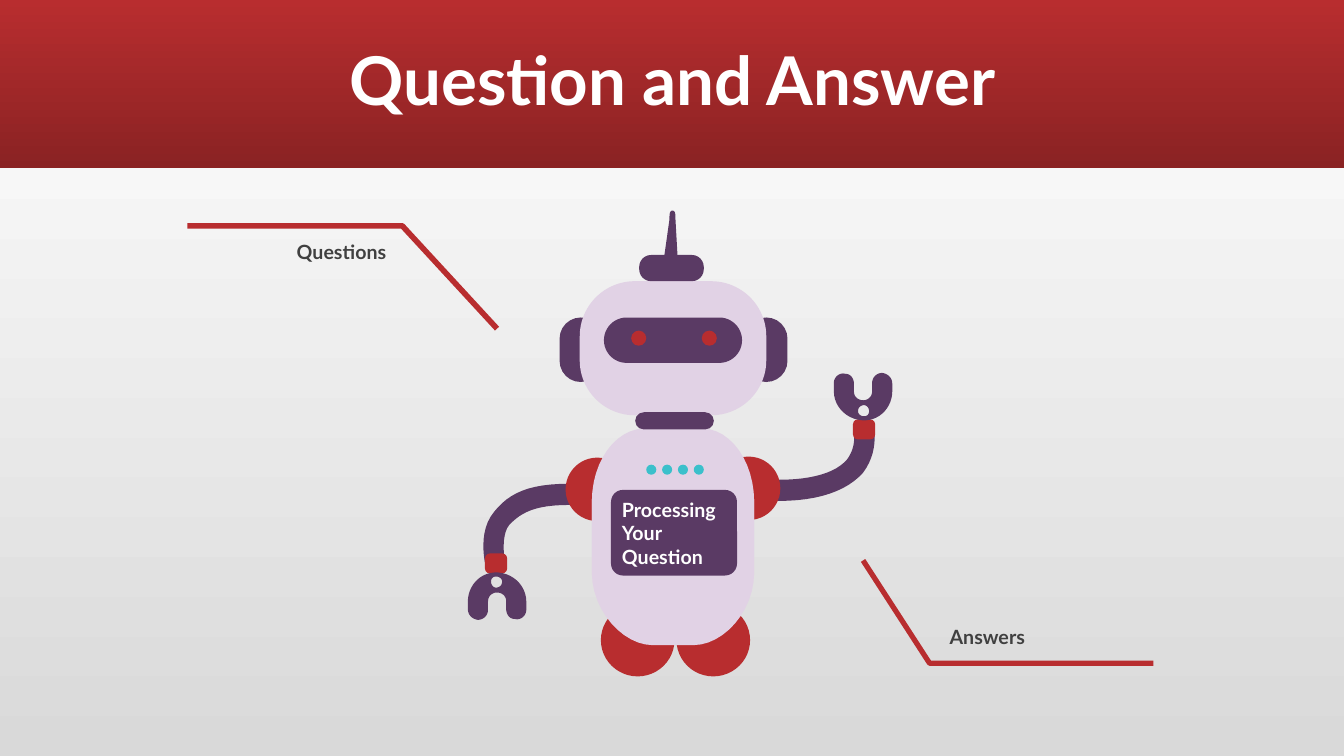
from pptx import Presentation
from pptx.dml.color import RGBColor
from pptx.enum.shapes import MSO_SHAPE
from pptx.enum.text import MSO_ANCHOR, MSO_AUTO_SIZE, PP_ALIGN
from pptx.util import Inches, Pt

RECT, ROUNDED, OVAL = MSO_SHAPE.RECTANGLE, MSO_SHAPE.ROUNDED_RECTANGLE, MSO_SHAPE.OVAL
MIDDLE, GROW = MSO_ANCHOR.MIDDLE, MSO_AUTO_SIZE.SHAPE_TO_FIT_TEXT
LEFT, CENTER, RIGHT = PP_ALIGN.LEFT, PP_ALIGN.CENTER, PP_ALIGN.RIGHT

RED = RGBColor(0xB8, 0x2D, 0x2F)
DARK_RED = RGBColor(0x8A, 0x22, 0x23)
PURPLE = RGBColor(0x5A, 0x3A, 0x64)
LILAC = RGBColor(0xE1, 0xD2, 0xE5)
TEAL = RGBColor(0x3B, 0xC0, 0xCB)
INK = RGBColor(0x40, 0x40, 0x40)
SILVER = RGBColor(0xD9, 0xD9, 0xD9)
WHITE = RGBColor(0xFF, 0xFF, 0xFF)

COLUMNS, ROWS = 1333, 750
CURVE_STEPS = 12

# Outlines hold contours: a start point, then lines (x, y) and curves (x1, y1, x2, y2, x, y).
LEFT_ARM = [[(564, 480), (525, 480, 505, 489, 490, 508), (474, 527, 481, 557, 481, 558),
             (501, 557), (501, 560), (501, 559, 496, 532, 505, 521),
             (517, 508, 532, 501, 564, 501), (570, 501, 574, 496, 574, 490),
             (575, 484, 570, 480, 564, 480)]]
RIGHT_ARM = [[(772, 497), (812, 497, 840, 487, 856, 469), (871, 449, 867, 428, 867, 427),
              (847, 431), (847, 432, 849, 444, 840, 456), (829, 469, 805, 476, 773, 476),
              (767, 476, 762, 481, 762, 486), (762, 492, 766, 497, 772, 497)]]
LEFT_HAND = [[(522, 605), (522, 597), (522, 580, 507, 567, 490, 568),
              (475, 569, 464, 582, 464, 597), (464, 604), (464, 610, 468, 614, 474, 615),
              (479, 615, 484, 611, 484, 605), (484, 597), (484, 592, 487, 589, 491, 588),
              (497, 587, 502, 591, 502, 596), (502, 604), (502, 609, 505, 614, 510, 614),
              (516, 616, 522, 611, 522, 605)],
             [(498, 577), (498, 581, 495, 583, 492, 583), (489, 583, 487, 580, 487, 577),
              (487, 574, 489, 572, 492, 572), (495, 572, 498, 574, 498, 577)]]
CHEST = [[(697, 425), (639, 425), (610, 426, 587, 458, 587, 498), (587, 571),
          (748, 571), (748, 498), (748, 458, 725, 426, 697, 425)]]
BELLY = [[(688, 640), (647, 640), (619, 640, 587, 607, 587, 568), (587, 495),
          (748, 495), (748, 568), (748, 607, 717, 640, 688, 640)]]
ANTENNA = [[(664, 218), (659, 253), (659, 258, 662, 262, 665, 262),
            (669, 262, 672, 259, 672, 254), (670, 218), (670, 213, 670, 209, 667, 209),
            (664, 209, 664, 213, 664, 218)]]


def half_turn(outline, x_sum, y_sum):
    """Rotate an outline by 180 degrees about (x_sum / 2, y_sum / 2)."""
    sums = (x_sum, y_sum)
    return [[tuple(sums[i % 2] - value for i, value in enumerate(step)) for step in contour]
            for contour in outline]


def trace(contour):
    """Turn a contour's lines and cubic curves into a list of points."""
    points = [contour[0]]
    for step in contour[1:]:
        if len(step) == 2:
            points.append(step)
            continue
        controls = (points[-1], step[:2], step[2:4], step[4:])
        for n in range(1, CURVE_STEPS + 1):
            t = n / CURVE_STEPS
            weights = ((1 - t) ** 3, 3 * t * (1 - t) ** 2, 3 * t * t * (1 - t), t ** 3)
            points.append(tuple(sum(w * c[axis] for w, c in zip(weights, controls))
                                for axis in (0, 1)))
    return points


class Deck:
    """Holds the style, the current slide and the container that receives shapes."""
    font = "Lato"

    def __init__(self):
        self.presentation = Presentation()
        self.presentation.slide_width = Inches(13.33)
        self.presentation.slide_height = Inches(7.5)
        self.column = self.presentation.slide_width / COLUMNS
        self.row = self.presentation.slide_height / ROWS
        self.slide = self.presentation.slides.add_slide(self.presentation.slide_layouts[5])
        self.canvas = self.slide.shapes

    def point(self, x, y):
        return round(x * self.column), round(y * self.row)

    def box(self, x, y, width, height):
        return self.point(x, y) + self.point(width, height)

    def gradient(self, fill, first, last, angle):
        fill.gradient()
        fill.gradient_angle = angle
        for stop, color in zip(fill.gradient_stops, (first, last)):
            stop.color.rgb = color

    def plain(self, shape, color):
        shape.shadow.inherit = False
        shape.line.fill.background()
        shape.fill.solid()
        shape.fill.fore_color.rgb = color

    def preset(self, kind, place, color, rounding=None):
        shape = self.canvas.add_shape(kind, *self.box(*place))
        if rounding is not None:
            shape.adjustments[0] = rounding
        self.plain(shape, color)
        return shape

    def freeform(self, contours, close):
        builder = self.canvas.build_freeform(*self.point(*contours[0][0]))
        for index, points in enumerate(contours):
            if index:
                builder.move_to(*self.point(*points[0]))
            builder.add_line_segments([self.point(*p) for p in points[1:]], close=close)
        return builder.convert_to_shape()

    def outline(self, contours, color):
        self.plain(self.freeform([trace(c) for c in contours], True), color)

    def callout(self, points, weight):
        leader = self.freeform([points], False)
        leader.shadow.inherit = False
        leader.fill.background()
        leader.line.color.rgb = RED
        leader.line.width = Pt(weight)

    def set_wording(self, frame, wording, size, color, align):
        frame.text = wording
        frame.word_wrap = True
        frame.vertical_anchor = MIDDLE
        for paragraph in frame.paragraphs:
            paragraph.alignment = align
            for run in paragraph.runs:
                run.font.name = self.font
                run.font.size = Pt(size)
                run.font.bold = True
                run.font.color.rgb = color

    def label(self, wording, place, color, align=LEFT):
        frame = self.canvas.add_textbox(*self.box(*place)).text_frame
        self.set_wording(frame, wording, 14, color, align)
        frame.auto_size = GROW

    def title(self, wording, place, banner):
        heading = self.slide.shapes.title
        heading.left, heading.top, heading.width, heading.height = self.box(*place)
        self.set_wording(heading.text_frame, wording, 48, WHITE, CENTER)
        heading.text_frame.paragraphs[0].line_spacing = 0.9
        heading.element.addprevious(banner.element)


def draw_robot(deck):
    deck.canvas = deck.slide.shapes.add_group_shape().shapes
    for foot_x in (671, 596):
        deck.preset(OVAL, (foot_x, 599, 73, 72), RED)
    right_hand = half_turn(LEFT_HAND, 1349, 985)
    for arm, cuff, hand in ((LEFT_ARM, (481, 549), LEFT_HAND),
                            (RIGHT_ARM, (846, 416), right_hand)):
        deck.outline(arm, PURPLE)
        deck.preset(ROUNDED, (*cuff, 22, 20), RED, 0.25)
        deck.outline(hand, PURPLE)
    for shoulder in ((711, 453), (561, 454)):
        deck.preset(OVAL, (*shoulder, 63, 63), RED)
    deck.outline(CHEST, LILAC)
    deck.outline(BELLY, LILAC)
    for ear_x in (739, 555):
        deck.preset(ROUNDED, (ear_x, 315, 42, 64), PURPLE, 0.5)
    head, cap = (575, 279, 185, 133), (634, 253, 64, 26)
    deck.preset(ROUNDED, head, LILAC, 0.41)
    deck.preset(ROUNDED, cap, PURPLE, 0.45)
    deck.outline(ANTENNA, PURPLE)
    for n in range(4):
        deck.preset(OVAL, (641 + 15.7 * n, 461, 10, 10), TEAL)
    visor, neck, screen = (599, 315, 137, 45), (630, 409, 78, 17), (606, 486, 125, 85)
    deck.preset(ROUNDED, visor, PURPLE, 0.5)
    for eye_x in (626, 696):
        deck.preset(OVAL, (eye_x, 328, 15, 15), RED)
    deck.preset(ROUNDED, neck, PURPLE, 0.5)
    deck.preset(ROUNDED, screen, PURPLE, 0.14)
    deck.canvas = deck.slide.shapes


def main():
    deck = Deck()
    deck.gradient(deck.slide.background.fill, SILVER, WHITE, 90)
    banner = deck.preset(RECT, (0, 0, COLUMNS, 167), RED)
    deck.gradient(banner.fill, RED, DARK_RED, 270)
    deck.title("Question and Answer", (117, 11, 1100, 145), banner)
    draw_robot(deck)
    deck.callout([(856, 556), (922, 658), (1144, 658)], 3.75)
    deck.label("Answers", (932, 615, 307, 34), INK)
    deck.callout([(493, 326), (399, 224), (186, 224)], 4)
    deck.label("Questions", (85, 233, 308, 34), INK, RIGHT)
    deck.label("Processing\nYour\nQuestion", (607, 488, 135, 81), WHITE)
    deck.presentation.save("out.pptx")


if __name__ == "__main__":
    main()
